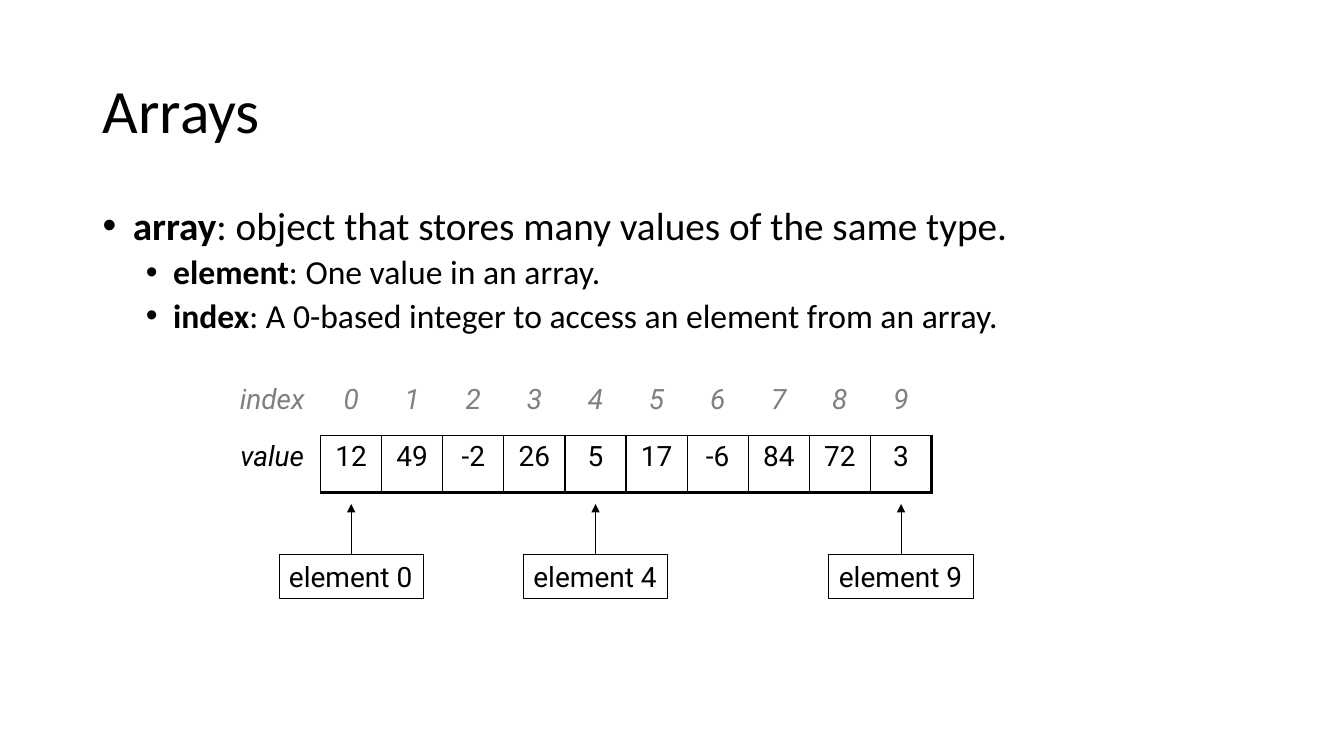
import pptx
import pptx.util
import pptx.dml.color
import pptx.enum.text
import pptx.enum.shapes
import pptx.oxml
import pptx.oxml.ns
from lxml import etree
from dataclasses import dataclass

TITLE = "Arrays"
TERMS = [  # level, term, meaning
    (0, "array", ": object that stores many values of the same type."),
    (1, "element", ": One value in an array."),
    (1, "index", ": A 0-based integer to access an element from an array."),
]
VALUES = [12, 49, -2, 26, 5, 17, -6, 84, 72, 3]
MARKED = [0, 4, 9]


@dataclass(frozen=True)
class Theme:
    text: str = "Calibri"
    figure: str = "Roboto"
    ink: str = "000000"
    mute: str = "808080"
    title: int = 44
    levels: tuple = (28, 24)
    cell: int = 20
    thin: float = 0.75
    rule: float = 1
    heavy: float = 2.25


THEME = Theme()
INDENTS = [(0.3, -0.3, 10), (0.7, -0.27, 5)]  # left, first line, space before
WIDE, HIGH = 13.33, 7.5
EDGE, SPAN = 0.92, 11.5
GRID_X, GRID_Y, GRID_W = 2.22, 3.75, 7.02
LABEL_W, ROW_H = 0.96, 0.57
CELL_W = (GRID_W - LABEL_W) / len(VALUES)
TIP_Y, BOX_Y, BOX_W, BOX_H = 5, 5.5, 1.43, 0.44

Inches, Pt = pptx.util.Inches, pptx.util.Pt
ALIGN = pptx.enum.text.PP_ALIGN
qn = pptx.oxml.ns.qn


def color(code):
    return pptx.dml.color.RGBColor.from_string(code)


def write(para, text, face, size, ink=THEME.ink, bold=False, italic=False):
    run = para.add_run()
    run.text = text
    font = run.font
    font.name, font.size = face, Pt(size)
    font.bold, font.italic = bold, italic
    font.color.rgb = color(ink)


def add_title(slide):
    title = slide.shapes.title
    title.left, title.top = Inches(EDGE), Inches(0.4)
    title.width, title.height = Inches(SPAN), Inches(1.45)
    frame = title.text_frame
    frame.vertical_anchor = pptx.enum.text.MSO_ANCHOR.MIDDLE
    para = frame.paragraphs[0]
    para.alignment, para.line_spacing = ALIGN.LEFT, 0.9
    write(para, TITLE, THEME.text, THEME.title)


def add_terms(slide):
    box = slide.shapes.add_textbox(Inches(EDGE), Inches(2), Inches(SPAN), Inches(1.6))
    frame = box.text_frame
    frame.word_wrap = True
    for order, (level, term, meaning) in enumerate(TERMS):
        para = frame.add_paragraph() if order else frame.paragraphs[0]
        left, first, before = INDENTS[level]
        para.level, para.line_spacing = level, 0.9
        para.space_before = Pt(before if order else 0)
        props = para._p.get_or_add_pPr()
        props.set("marL", str(Inches(left)))
        props.set("indent", str(Inches(first)))
        font = etree.SubElement(props, qn("a:buFont"))
        font.set("typeface", "Arial")
        etree.SubElement(props, qn("a:buChar")).set("char", "•")
        size = THEME.levels[level]
        write(para, term, THEME.text, size, bold=True)
        write(para, meaning, THEME.text, size)


def set_edge(cell, side, width):
    """Draw one side of a cell; a width of 0 leaves it open."""
    edge = etree.Element(qn("a:ln" + side), w=str(Pt(width)))
    if width:
        fill = etree.SubElement(edge, qn("a:solidFill"))
        etree.SubElement(fill, qn("a:srgbClr"), val=THEME.ink)
    else:
        etree.SubElement(edge, qn("a:noFill"))
    cell._tc.get_or_add_tcPr().append(edge)


def add_grid(slide):
    rows = [["index", *range(len(VALUES))], ["value", *VALUES]]
    frame = slide.shapes.add_table(
        2, len(VALUES) + 1, Inches(GRID_X), Inches(GRID_Y),
        Inches(GRID_W), Inches(2 * ROW_H))
    table = frame.table
    table.first_row = table.horz_banding = False
    for col, column in enumerate(table.columns):
        column.width = Inches(CELL_W if col else LABEL_W)
    for r, row in enumerate(rows):
        table.rows[r].height = Inches(ROW_H)
        for c, item in enumerate(row):
            cell = table.cell(r, c)
            boxed = r == 1 and c > 0
            last = c == len(VALUES)
            edges = {
                "L": THEME.rule if boxed else 0,
                "R": (THEME.heavy if last else THEME.rule) if r else 0,
                "T": THEME.rule if boxed else 0,
                "B": (THEME.heavy if r else THEME.rule) if c else 0,
            }
            for side, width in edges.items():
                set_edge(cell, side, width)
            cell.fill.background()
            para = cell.text_frame.paragraphs[0]
            para.alignment = ALIGN.CENTER
            write(para, str(item), THEME.figure, THEME.cell,
                  THEME.ink if r else THEME.mute, italic=not boxed)


def add_marker(slide, index):
    """Label one element with a box and an arrow up to its cell."""
    mid = GRID_X + LABEL_W + (index + 0.5) * CELL_W
    box = slide.shapes.add_shape(
        pptx.enum.shapes.MSO_SHAPE.RECTANGLE, Inches(mid - BOX_W / 2),
        Inches(BOX_Y), Inches(BOX_W), Inches(BOX_H))
    box.shadow.inherit = False
    box.fill.background()
    frame = box.text_frame
    frame.word_wrap = False
    frame.auto_size = pptx.enum.text.MSO_AUTO_SIZE.SHAPE_TO_FIT_TEXT
    frame.vertical_anchor = pptx.enum.text.MSO_ANCHOR.TOP
    para = frame.paragraphs[0]
    para.alignment = ALIGN.LEFT
    write(para, f"element {index}", THEME.figure, THEME.cell)

    arrow = slide.shapes.add_connector(
        pptx.enum.shapes.MSO_CONNECTOR.STRAIGHT,
        Inches(mid), Inches(BOX_Y), Inches(mid), Inches(TIP_Y))
    arrow.begin_connect(box, 0)
    for shape in (box, arrow):
        shape.line.color.rgb = color(THEME.ink)
        shape.line.width = Pt(THEME.thin)
    etree.SubElement(arrow.line._ln, qn("a:tailEnd"), type="triangle")
    etree.SubElement(arrow._element.spPr, qn("a:effectLst"))


def main():
    deck = pptx.Presentation()
    deck.slide_width, deck.slide_height = Inches(WIDE), Inches(HIGH)
    slide = deck.slides.add_slide(deck.slide_layouts[5])
    add_title(slide)
    add_terms(slide)
    add_grid(slide)
    for index in MARKED:
        add_marker(slide, index)
    deck.save("out.pptx")


if __name__ == "__main__":
    main()
